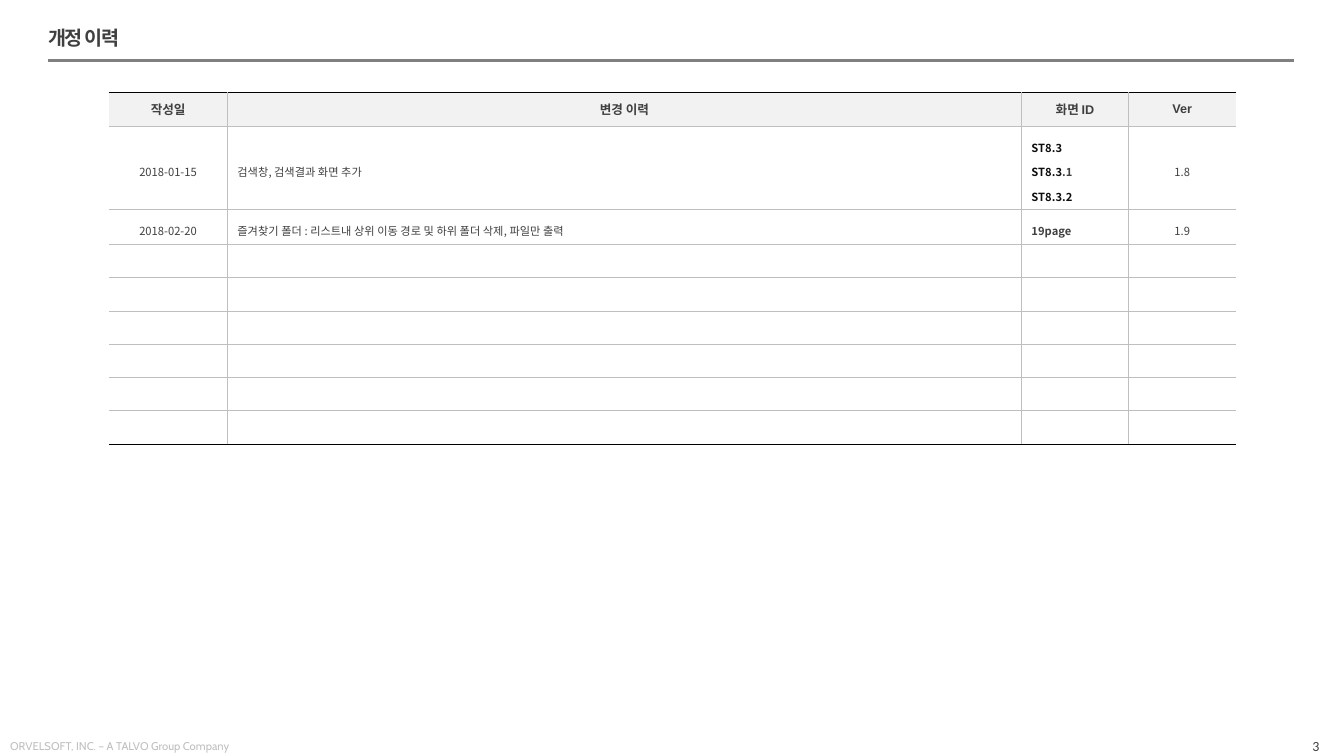
from lxml.etree import SubElement
from pptx import Presentation
from pptx.dml.color import RGBColor
from pptx.enum.shapes import MSO_CONNECTOR as Connector
from pptx.enum.text import MSO_ANCHOR as Anchor, MSO_AUTO_SIZE as AutoSize, PP_ALIGN as Align
from pptx.oxml.ns import qn
from pptx.util import Pt

NOTO = "Noto Sans CJK KR"
DARK, INK, GRID, BLACK = "404040", "0D0D0D", "BFBFBF", "000000"
COLUMN_WIDTHS = (84.6, 567.2, 76.6, 76.6)
# Heading, three-line revision, one-line revision, then empty rows.
ROW_HEIGHTS = (24, 59.4, 25) + (23.8,) * 6
HEADINGS = ("작성일", "변경 이력", "화면 ID", "Ver")
# Each screen ID is a line of (text, colour) runs.
REVISIONS = (
    ("2018-01-15", "검색창, 검색결과 화면 추가",
     ([("ST8.3", INK)], [("ST8.3", INK), (".1", DARK)], [("ST8.3.2", INK)]), "1.8"),
    ("2018-02-20", "즐겨찾기 폴더 : 리스트내 상위 이동 경로 및 하위 폴더 삭제, 파일만 출력",
     ([("19page", DARK)],), "1.9"),
)


def rgb(value):
    return RGBColor.from_string(value)


def add_run(paragraph, text, size, font, color=DARK, bold=False):
    run = paragraph.add_run()
    run.text = text
    run.font.size = Pt(size)
    run.font.name = font
    run.font.bold = bold
    run.font.color.rgb = rgb(color)
    SubElement(run.font._element, qn("a:ea"), typeface=NOTO)
    return run


def set_margins(frame, horizontal, vertical):
    frame.margin_left = frame.margin_right = Pt(horizontal)
    frame.margin_top = frame.margin_bottom = Pt(vertical)


def add_title(slide, left, top, width, height):
    title = slide.shapes.title
    title.left, title.top, title.width, title.height = map(Pt, (left, top, width, height))
    frame = title.text_frame
    set_margins(frame, 0, 0)
    frame.auto_size = AutoSize.NONE
    frame.vertical_anchor = Anchor.TOP
    heading = frame.paragraphs[0]
    heading.alignment = Align.LEFT
    heading.line_spacing = 0.9
    heading.space_before = Pt(10)
    run = add_run(heading, "개정 이력", 14, NOTO, bold=True)
    run.font._element.set("spc", "-100")


def add_title_rule(slide, left, y, width):
    rule = slide.shapes.add_connector(
        Connector.STRAIGHT, Pt(left), Pt(y), Pt(left + width), Pt(y))
    rule.line.color.rgb = rgb("808080")
    rule.line.width = Pt(2.25)
    SubElement(rule._element.spPr, qn("a:effectLst"))


def add_footer_text(slide, box, text, size, font, color, align, anchor):
    footer = slide.shapes.add_textbox(*map(Pt, box))
    frame = footer.text_frame
    frame.word_wrap = True
    frame.vertical_anchor = anchor
    set_margins(frame, 2.9, 3.6)
    frame.paragraphs[0].alignment = align
    add_run(frame.paragraphs[0], text, size, font, color)


def set_borders(cell, **colors):
    """Draw the sides L, R, T and B in that order; None hides a side."""
    properties = cell._tc.get_or_add_tcPr()
    for side in "LRTB":
        color = colors[side]
        line = SubElement(properties, qn("a:ln" + side), w=str(Pt(0.25)))
        if color:
            fill = SubElement(line, qn("a:solidFill"))
            SubElement(fill, qn("a:srgbClr"), val=color)
        else:
            SubElement(line, qn("a:noFill"))


def write_cell(cell, lines, size, font, align, bold, spacing):
    frame = cell.text_frame
    for index, line in enumerate(lines):
        paragraph = frame.add_paragraph() if index else frame.paragraphs[0]
        paragraph.alignment = align
        paragraph.line_spacing = spacing
        for text, color in line:
            add_run(paragraph, text, size, font, color, bold)


def fill_cell(cell, row, column):
    if row == 0:
        write_cell(cell, [[(HEADINGS[column], DARK)]], 9, "Arial", Align.CENTER, True, 1.0)
    elif row <= len(REVISIONS):
        content = REVISIONS[row - 1][column]
        lines = [[(content, DARK)]] if isinstance(content, str) else content
        align = Align.CENTER if column in (0, 3) else Align.LEFT
        write_cell(cell, lines, 8, NOTO, align, column == 2, 1.5)
    else:
        # Small text size keeps the empty rows from growing.
        SubElement(cell.text_frame.paragraphs[0]._p, qn("a:endParaRPr"), sz="800")


def add_revision_table(slide, left, top):
    last_row, last_column = len(ROW_HEIGHTS) - 1, len(COLUMN_WIDTHS) - 1
    revisions = slide.shapes.add_table(
        len(ROW_HEIGHTS), len(COLUMN_WIDTHS), Pt(left), Pt(top),
        Pt(sum(COLUMN_WIDTHS)), Pt(sum(ROW_HEIGHTS))).table
    revisions.first_row = revisions.horz_banding = False
    for column, width in zip(revisions.columns, COLUMN_WIDTHS):
        column.width = Pt(width)
    for r, (row, height) in enumerate(zip(revisions.rows, ROW_HEIGHTS)):
        row.height = Pt(height)
        for c, cell in enumerate(row.cells):
            cell.vertical_anchor = Anchor.MIDDLE
            set_borders(cell,
                        L=GRID if c else None,
                        R=GRID if c < last_column else None,
                        T=GRID if r else BLACK,
                        B=GRID if r < last_row else BLACK)
            if r == 0:
                cell.fill.solid()
                cell.fill.fore_color.rgb = rgb("F2F2F2")
            else:
                cell.fill.background()
            fill_cell(cell, r, c)


def main():
    deck = Presentation()
    deck.slide_width, deck.slide_height = Pt(960), Pt(540)
    slide = deck.slides.add_slide(deck.slide_layouts[5])
    add_footer_text(slide, (894.2, 525, 51.1, 15), "3", 10, "Calibri", DARK,
                    Align.RIGHT, Anchor.MIDDLE)
    add_footer_text(slide, (4.3, 524.2, 258.5, 15), "ORVELSOFT, INC. – A TALVO Group Company",
                    8, "Cabin", GRID, Align.LEFT, Anchor.TOP)
    add_title_rule(slide, 34, 43.2, 890)
    add_revision_table(slide, 77.8, 66)
    add_title(slide, 34.5, 20.4, 674.6, 25.9)
    deck.save("out.pptx")


if __name__ == "__main__":
    main()
